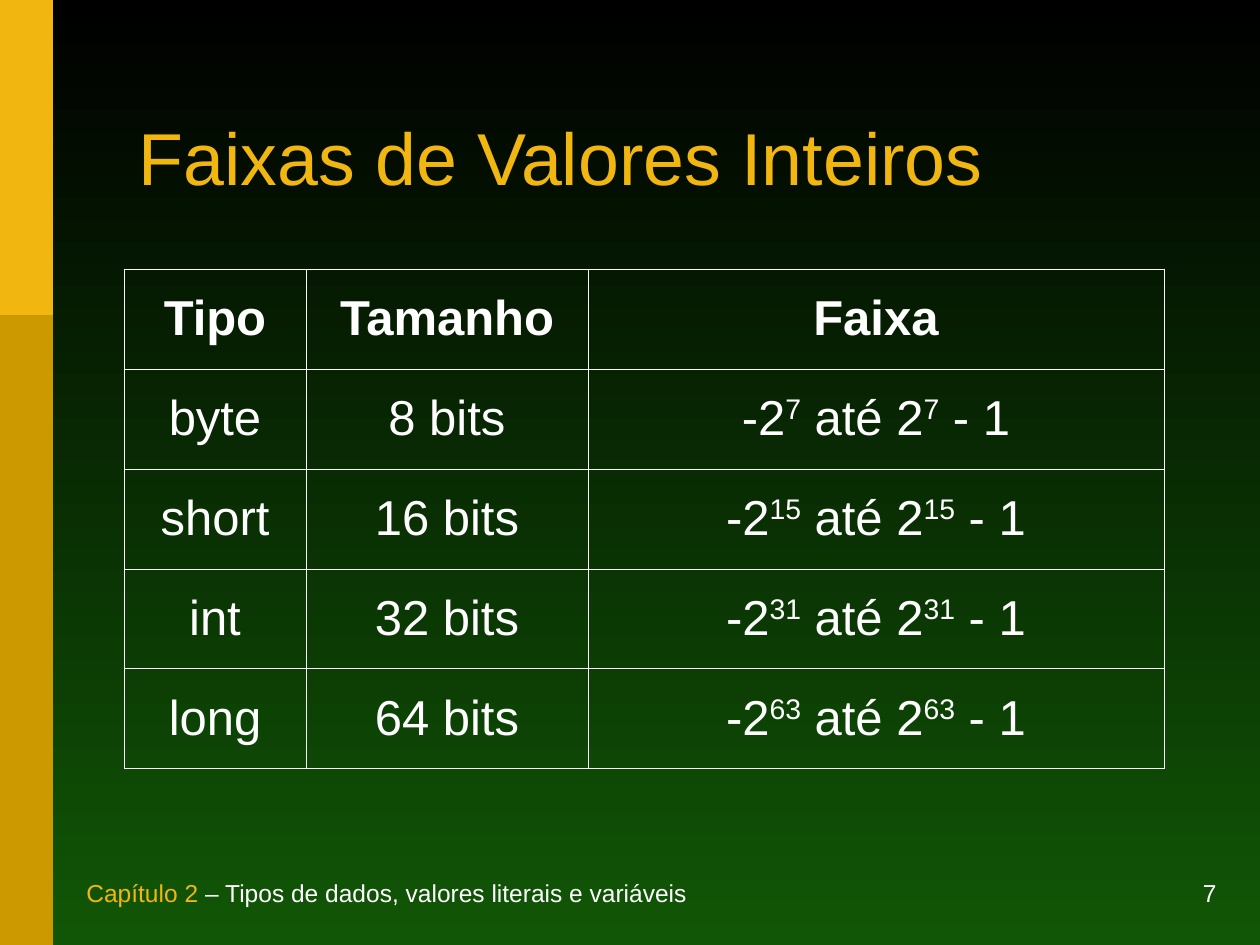
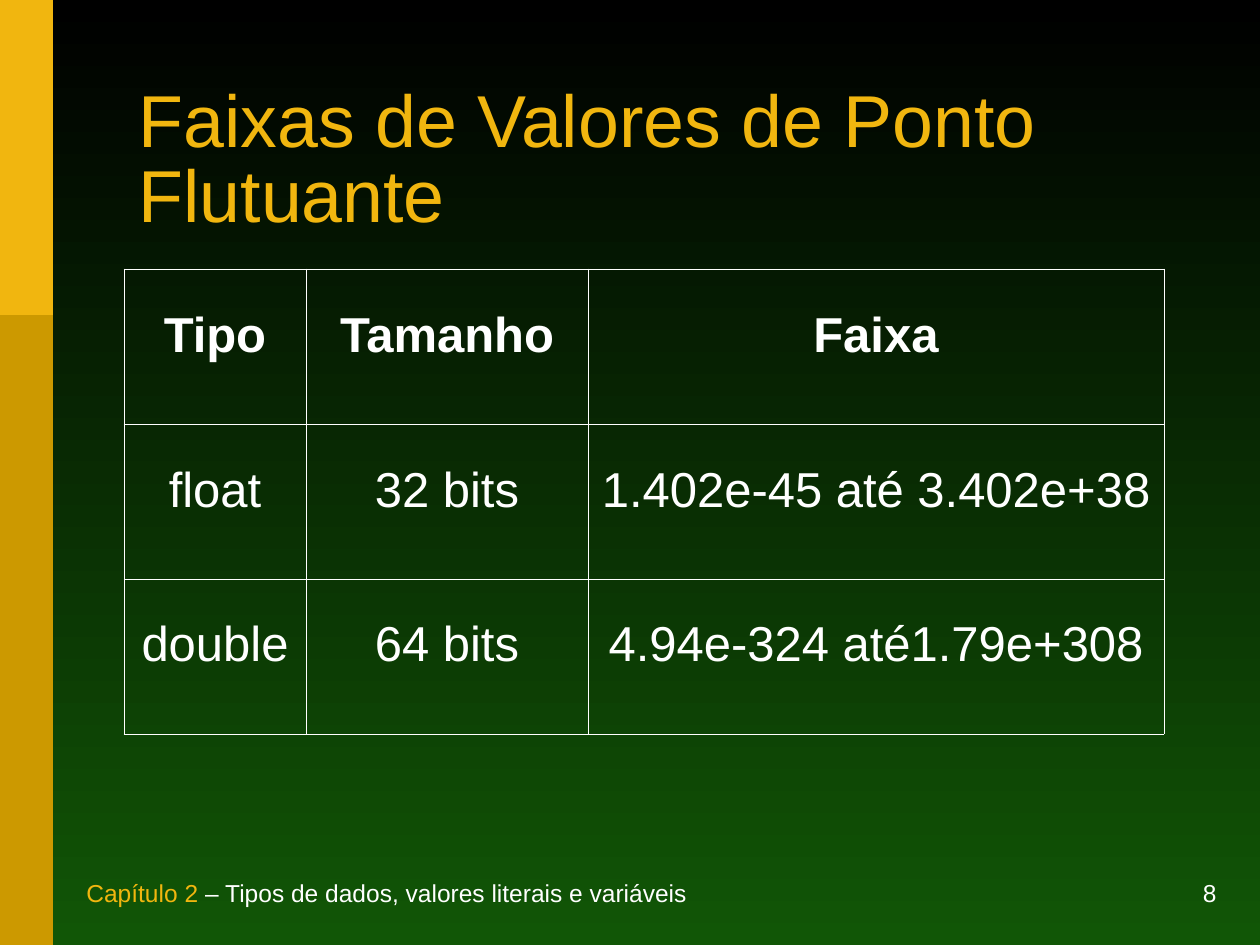
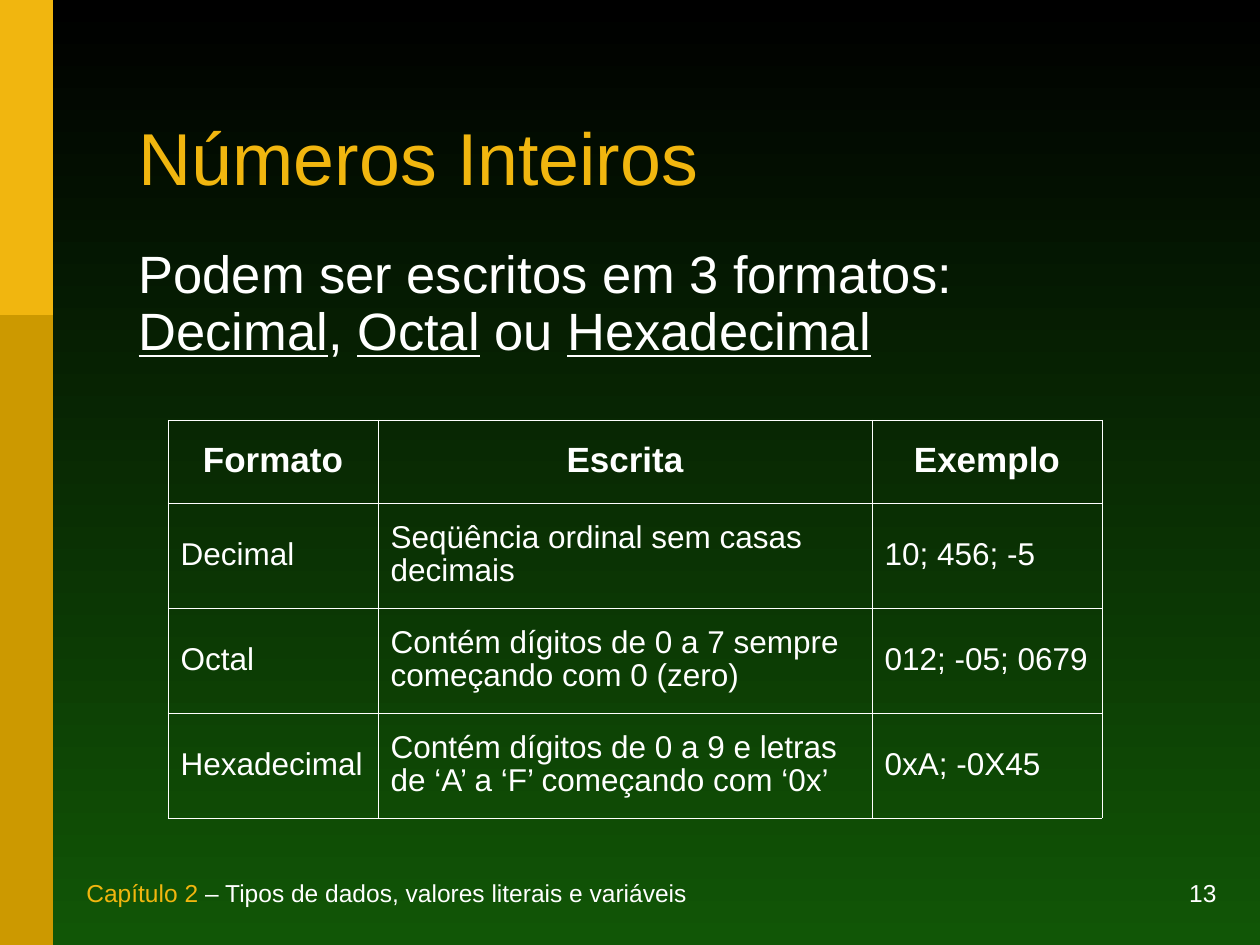
"""Build three slides on value ranges and number formats."""
import lxml.etree
import pptx
import pptx.dml.color
import pptx.enum.shapes
import pptx.enum.text
import pptx.oxml.ns
import pptx.util

SCALE = 914400 / 126
FONT = "Arial"
HUES = {
    "black": "000000",
    "green": "115606",
    "gold": "F1B60F",
    "ochre": "CC9900",
    "white": "FFFFFF",
    "pale": "F8F8F8",
}
ALIGN = pptx.enum.text.PP_ALIGN
ANCHOR = pptx.enum.text.MSO_ANCHOR
COLS = [182, 282, 576]
HEAD = ["Tipo", "Tamanho", "Faixa"]


def px(num):
    """Turn pixels into EMU."""
    return pptx.util.Emu(round(num * SCALE))


def rgb(hue):
    """Look up a colour by name."""
    return pptx.dml.color.RGBColor.from_string(HUES[hue])


def add_run(para, text, size, hue="white", bold=False, line=False, base=0):
    """Add one styled run to a paragraph."""
    run = para.add_run()
    run.text = text
    font = run.font
    font.name, font.size, font.bold = FONT, pptx.util.Pt(size), bold
    font.color.rgb = rgb(hue)
    if line:
        font.underline = True
    if base:
        run._r.get_or_add_rPr().set("baseline", str(base * 1000))


def set_para(para, align=ALIGN.LEFT, lead=None, before=0):
    """Set the alignment and spacing of a paragraph."""
    para.alignment = align
    para.space_before = pptx.util.Pt(before)
    if lead:
        para.line_spacing = lead


def set_frame(shape, anchor):
    """Wrap and anchor the text of a shape and return its paragraph."""
    frame = shape.text_frame
    frame.word_wrap = True
    frame.auto_size = pptx.enum.text.MSO_AUTO_SIZE.NONE
    frame.vertical_anchor = anchor
    return frame.paragraphs[0]


def place(shape, left, top, width, height):
    """Move and size a shape."""
    shape.left, shape.top = px(left), px(top)
    shape.width, shape.height = px(width), px(height)


def add_band(slide, height, hue):
    """Draw a band down the left edge."""
    kind = pptx.enum.shapes.MSO_SHAPE.RECTANGLE
    band = slide.shapes.add_shape(kind, 0, 0, px(53), px(height))
    band.shadow.inherit = False
    band.fill.solid()
    band.fill.fore_color.rgb = rgb(hue)
    band.line.fill.background()


def add_note(slide, left, width, parts, align=ALIGN.LEFT):
    """Write a text at the foot of the slide."""
    box = slide.shapes.add_textbox(px(left), px(882), px(width), px(32))
    para = set_frame(box, ANCHOR.BOTTOM)
    set_para(para, align, before=3.5)
    for text, hue in parts:
        add_run(para, text, 14, hue)


def add_slide(deck, layout, title, page):
    """Add a slide with its title, bands and foot."""
    slide = deck.slides.add_slide(deck.slide_layouts[layout])
    add_band(slide, 945, "ochre")
    add_band(slide, 315, "gold")
    add_note(slide, 914, 315, [(str(page), "white")], ALIGN.RIGHT)
    add_note(slide, 74, 694, [
        ("Capítulo 2", "gold"),
        (" – Tipos de dados, valores literais e variáveis", "white"),
    ])
    place(slide.shapes.title, 126, 84, 1040, 158)
    para = set_frame(slide.shapes.title, ANCHOR.MIDDLE)
    set_para(para, lead=0.85)
    add_run(para, title, 42, "gold")
    return slide


def add_body(slide, parts):
    """Fill the body with runs, some underlined."""
    body = slide.placeholders[1]
    place(body, 126, 242, 1040, 136)
    para = set_frame(body, ANCHOR.TOP)
    set_para(para, lead=0.9, before=22.5)
    props = para._p.get_or_add_pPr()
    props.set("marL", "0")
    props.set("indent", "0")
    lxml.etree.SubElement(props, pptx.oxml.ns.qn("a:buNone"))
    for text, line in parts:
        add_run(para, text, 30, line=line)


def add_edge(cell, hue, width):
    """Line all four sides of a cell."""
    props = cell._tc.get_or_add_tcPr()
    for side in ("lnL", "lnR", "lnT", "lnB"):
        edge = lxml.etree.SubElement(props, pptx.oxml.ns.qn("a:" + side))
        edge.set("w", str(pptx.util.Pt(width)))
        fill = lxml.etree.SubElement(edge, pptx.oxml.ns.qn("a:solidFill"))
        tint = lxml.etree.SubElement(fill, pptx.oxml.ns.qn("a:srgbClr"))
        tint.set("val", HUES[hue])


def add_grid(slide, left, top, cols, rows, data, head, rest, edge):
    """Draw a table whose first row and other rows differ in style."""
    grid = slide.shapes.add_table(
        len(rows), len(cols), px(left), px(top), px(sum(cols)), px(sum(rows))
    ).table
    grid.first_row = grid.horz_banding = False
    for col, width in zip(grid.columns, cols):
        col.width = px(width)
    for row, height, texts in zip(grid.rows, rows, data):
        row.height = px(height)
        top_row = texts is data[0]
        size, align, lead, before = head if top_row else rest
        for cell, text in zip(row.cells, texts):
            add_edge(cell, *edge)
            cell.fill.background()
            cell.vertical_anchor = ANCHOR.MIDDLE
            para = cell.text_frame.paragraphs[0]
            set_para(para, align, lead, before)
            parts = [(text, 0)] if isinstance(text, str) else text
            for part, base in parts:
                add_run(para, part, size, bold=top_row, base=base)


def span(bits):
    """Give the runs for the range of a signed type."""
    power = (str(bits - 1), 33)
    return [("-2", 0), power, (" até 2", 0), power, (" - 1", 0)]


def set_back(deck):
    """Give the master its gradient."""
    fill = deck.slide_master.background.fill
    fill.gradient()
    fill.gradient_angle = 270
    for stop, hue in zip(fill.gradient_stops, ("black", "green")):
        stop.color.rgb = rgb(hue)


def main():
    """Build the deck and save it."""
    deck = pptx.Presentation()
    deck.slide_width, deck.slide_height = px(1260), px(945)
    set_back(deck)

    slide = add_slide(deck, 5, "Faixas de Valores Inteiros", 7)
    types = [("byte", 8), ("short", 16), ("int", 32), ("long", 64)]
    data = [HEAD] + [[name, f"{bits} bits", span(bits)] for name, bits in types]
    style = (28, ALIGN.CENTER, None, 0)
    add_grid(slide, 124, 269, COLS, [100] * 5, data, style, style, ("pale", 0.45))

    slide = add_slide(deck, 5, "Faixas de Valores de Ponto Flutuante", 8)
    data = [
        HEAD,
        ["float", "32 bits", "1.402e-45 até 3.402e+38"],
        ["double", "64 bits", "4.94e-324 até1.79e+308"],
    ]
    add_grid(slide, 124, 269, COLS, [155] * 3, data,
             (28, ALIGN.CENTER, 0.34, 7.5), (28, ALIGN.CENTER, 0.34, 19.5),
             ("white", 0.45))

    slide = add_slide(deck, 1, "Números Inteiros", 13)
    add_body(slide, [
        ("Podem ser escritos em 3 formatos: ", False),
        ("Decimal", True),
        (", ", False),
        ("Octal", True),
        (" ou ", False),
        ("Hexadecimal", True),
    ])
    data = [
        ["Formato", "Escrita", "Exemplo"],
        ["Decimal", "Seqüência ordinal sem casas decimais", "10; 456; -5"],
        ["Octal", "Contém dígitos de 0 a 7 sempre começando com 0 (zero)",
         "012; -05; 0679"],
        ["Hexadecimal",
         "Contém dígitos de 0 a 9 e letras de ‘A’ a ‘F’ começando com ‘0x’",
         "0xA; -0X45"],
    ]
    add_grid(slide, 168, 420, [210, 494, 230], [83] + [105] * 3, data,
             (20, ALIGN.CENTER, 0.93, 15), (18, ALIGN.LEFT, 0.93, 13.5),
             ("white", 0.28))

    deck.save("out.pptx")


if __name__ == "__main__":
    main()
